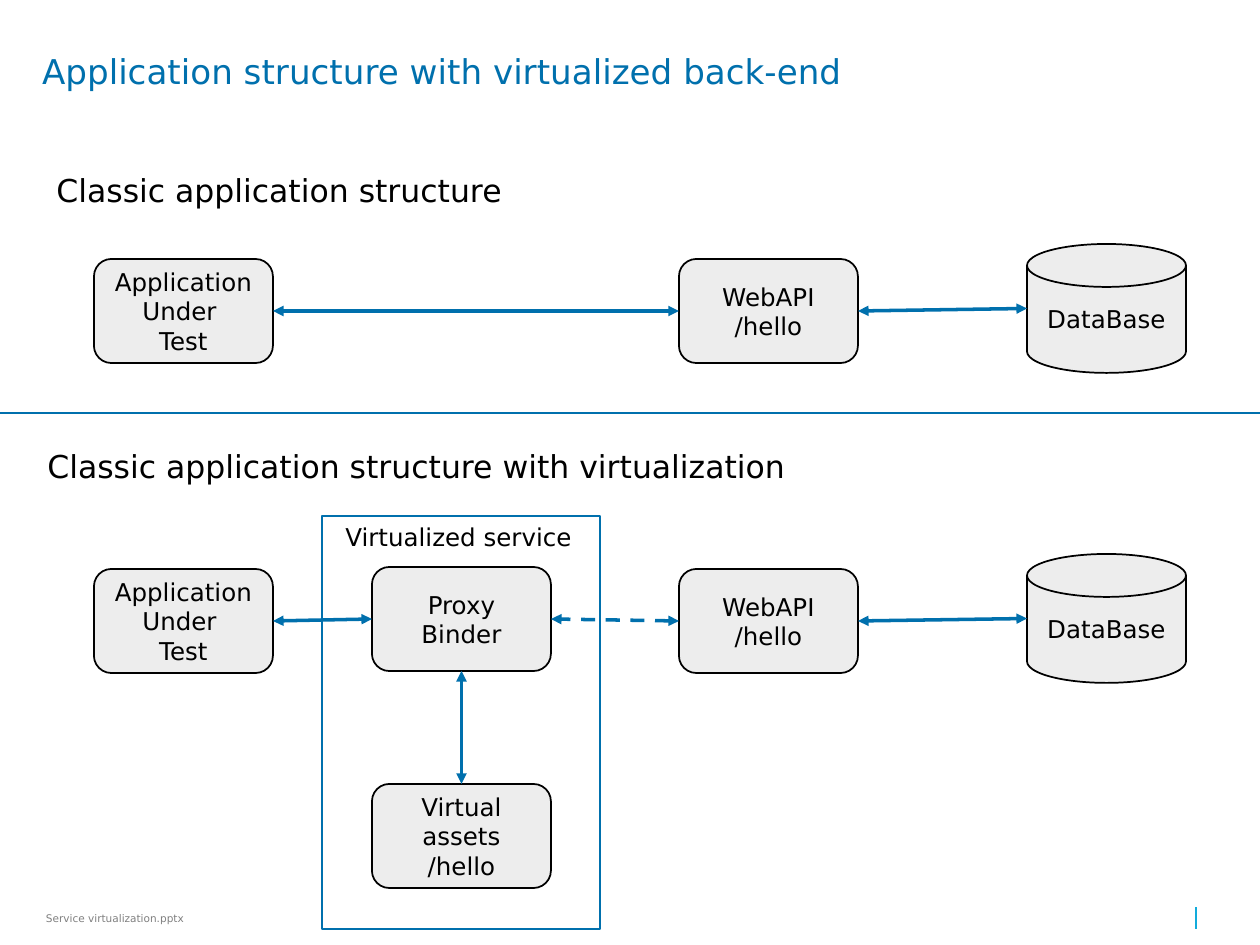
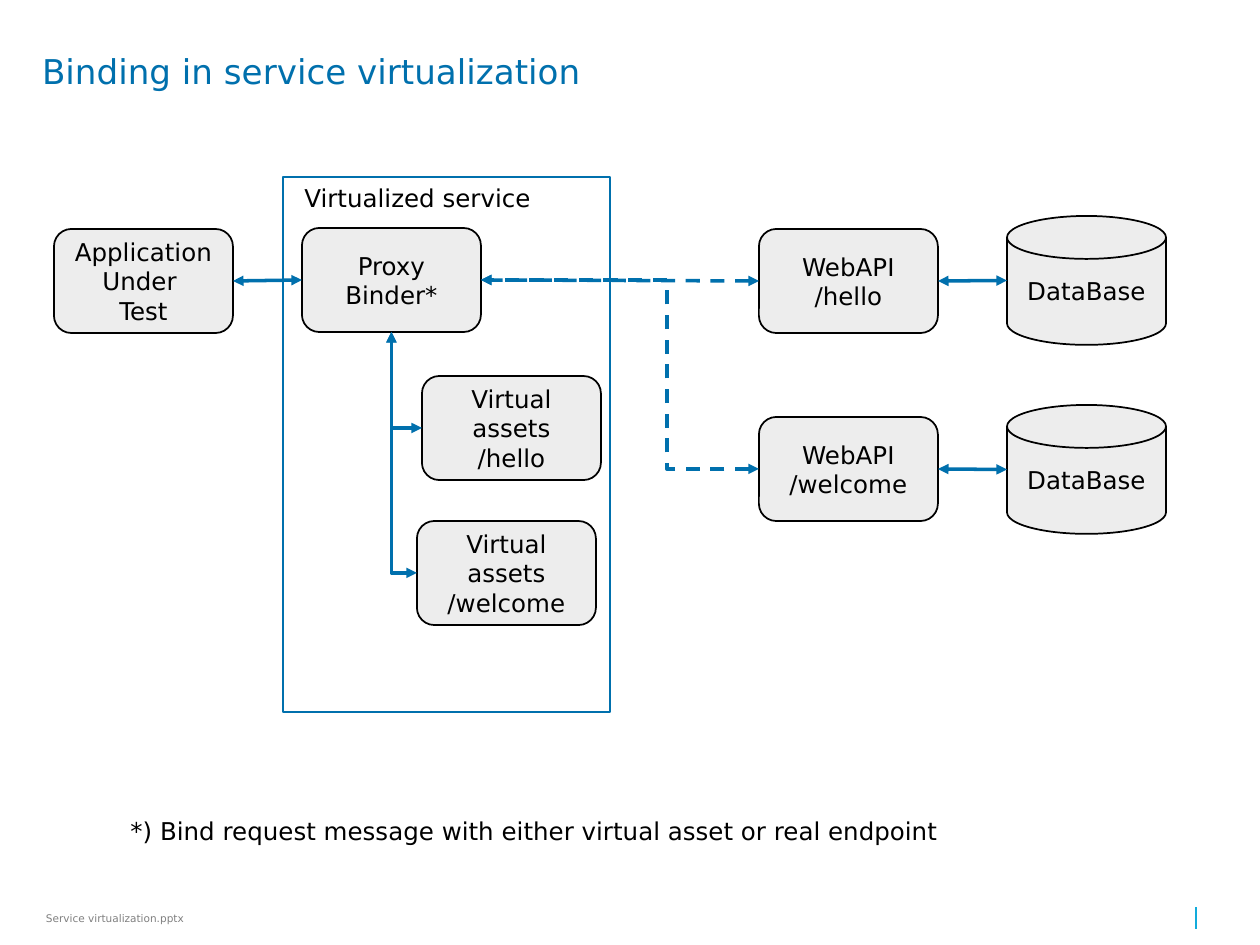
"""Build two slides that explain service virtualization and its binding."""
from lxml.etree import SubElement
from pptx import Presentation
from pptx.dml.color import RGBColor
from pptx.enum.dml import MSO_LINE
from pptx.enum.shapes import MSO_CONNECTOR, MSO_SHAPE
from pptx.enum.text import MSO_ANCHOR, MSO_AUTO_SIZE, PP_ALIGN
from pptx.oxml.ns import qn
from pptx.shapes.connector import Connector
from pptx.util import Emu, Pt

EMU_PER_PX = 914400 / 126
FONT = "DejaVu Sans"
BLUE = RGBColor(0x00, 0x70, 0xAD)
CYAN = RGBColor(0x12, 0xAB, 0xDB)
GREY = RGBColor(0x80, 0x80, 0x80)
LIGHT = RGBColor(0xED, 0xED, 0xED)
BLACK = RGBColor(0, 0, 0)
BOX, DISK = MSO_SHAPE.ROUNDED_RECTANGLE, MSO_SHAPE.FLOWCHART_MAGNETIC_DISK
NODE_SIZES = {BOX: (179, 104), DISK: (159, 129)}
TOP, LEFT, BOTTOM, RIGHT = range(4)
DISK_LEFT_SITE = 2
STRAIGHT, CORNER, ELBOW = "line", "bentConnector2", "bentConnector3"
APPLICATION = "Application Under \nTest"
HELLO_API, HELLO_ASSETS = "WebAPI\n/hello", "Virtual assets\n/hello"
FOOTER_RULE = (1196, 929, 1196, 907, CYAN, 1)


def px(*lengths):
    return [Emu(round(length * EMU_PER_PX)) for length in lengths]


def write_text(shape, text, *, size=14, color=BLACK, align=PP_ALIGN.LEFT,
               anchor=MSO_ANCHOR.TOP, wrap=True, inset=None, spacing=None):
    frame = shape.text_frame
    frame.text = text
    frame.auto_size = MSO_AUTO_SIZE.NONE
    frame.word_wrap = wrap
    frame.vertical_anchor = anchor
    if inset is not None:
        frame.margin_left = frame.margin_right = px(inset)[0]
        frame.margin_top = frame.margin_bottom = px(inset)[0]
    for paragraph in frame.paragraphs:
        paragraph.alignment = align
        paragraph.line_spacing = spacing
        for run in paragraph.runs:
            run.font.name = FONT
            run.font.size = Pt(size)
            run.font.color.rgb = color


SLIDES = [
    {
        "title": "Application structure with virtualized back-end",
        "nodes": {
            "classic application": (BOX, 94, 259, APPLICATION),
            "classic api": (BOX, 679, 259, HELLO_API),
            "classic database": (DISK, 1027, 244, "DataBase"),
            "application": (BOX, 94, 569, APPLICATION),
            "api": (BOX, 679, 569, HELLO_API),
            "database": (DISK, 1027, 554, "DataBase"),
            "proxy": (BOX, 372, 567, "Proxy Binder"),
            "assets": (BOX, 372, 784, HELLO_ASSETS),
        },
        "links": [
            ("classic application", RIGHT, "classic api", LEFT, STRAIGHT, False),
            ("classic api", RIGHT, "classic database", LEFT, STRAIGHT, False),
            ("application", RIGHT, "proxy", LEFT, STRAIGHT, False),
            ("api", RIGHT, "database", LEFT, STRAIGHT, False),
            ("assets", TOP, "proxy", BOTTOM, STRAIGHT, False),
            ("api", LEFT, "proxy", RIGHT, STRAIGHT, True),
        ],
        "service": (322, 516, 278, 413),
        "captions": [
            ("Virtualized service", 333, 516, 253, 43, 14, False),
            ("Classic application structure", 44, 165, 474, 51, 18, False),
            ("Classic application structure with virtualization",
             35, 441, 771, 51, 18, False),
        ],
        "rules": [FOOTER_RULE, (0, 413, 1260, 413, BLUE, 0.75)],
    },
    {
        "title": "Binding in service virtualization",
        "nodes": {
            "application": (BOX, 54, 229, APPLICATION),
            "hello api": (BOX, 759, 229, HELLO_API),
            "hello database": (DISK, 1007, 216, "DataBase"),
            "proxy": (BOX, 302, 228, "Proxy\nBinder*"),
            "hello assets": (BOX, 422, 376, HELLO_ASSETS),
            "welcome api": (BOX, 759, 417, "WebAPI\n/welcome"),
            "welcome database": (DISK, 1007, 405, "DataBase"),
            "welcome assets": (BOX, 417, 521, "Virtual assets\n/welcome"),
        },
        "links": [
            ("application", RIGHT, "proxy", LEFT, STRAIGHT, False),
            ("hello api", RIGHT, "hello database", LEFT, STRAIGHT, False),
            ("hello assets", LEFT, "proxy", BOTTOM, CORNER, False),
            ("hello api", LEFT, "proxy", RIGHT, STRAIGHT, True),
            ("welcome api", RIGHT, "welcome database", LEFT, STRAIGHT, False),
            ("welcome api", LEFT, "proxy", RIGHT, ELBOW, True),
            ("welcome assets", LEFT, "proxy", BOTTOM, CORNER, False),
        ],
        "service": (283, 177, 327, 535),
        "captions": [
            ("Virtualized service", 292, 177, 253, 43, 14, False),
            ("*) Bind request message with either virtual asset or real endpoint",
             118, 810, 927, 72, 14, True),
        ],
        "rules": [FOOTER_RULE],
    },
]

presentation = Presentation()
presentation.slide_width, presentation.slide_height = px(1260, 945)
title_only = presentation.slide_layouts[5]

for content in SLIDES:
    slide = presentation.slides.add_slide(title_only)
    shapes = slide.shapes

    title = shapes.title
    title.left, title.top, title.width, title.height = px(42, 55, 1139, 118)
    write_text(title, content["title"], size=19.5, color=BLUE, inset=0, spacing=0.9)

    footer = shapes.add_textbox(*px(42, 903, 316, 30))
    write_text(footer, "Service virtualization.pptx", size=6, color=GREY,
               anchor=MSO_ANCHOR.MIDDLE, inset=4)

    for x1, y1, x2, y2, color, width in content["rules"]:
        rule = shapes.add_connector(MSO_CONNECTOR.STRAIGHT, *px(x1, y1, x2, y2))
        rule.line.color.rgb = color
        rule.line.width = Pt(width)

    nodes = {}
    for name, (kind, left, top, text) in content["nodes"].items():
        node = shapes.add_shape(kind, *px(left, top, *NODE_SIZES[kind]))
        node.shadow.inherit = False
        node.fill.solid()
        node.fill.fore_color.rgb = LIGHT
        node.line.color.rgb = BLACK
        node.line.width = Pt(1)
        write_text(node, text, align=PP_ALIGN.CENTER, anchor=MSO_ANCHOR.MIDDLE)
        nodes[name] = node

    for start, start_side, end, end_side, preset, dashed in content["links"]:
        link = shapes.add_connector(MSO_CONNECTOR.STRAIGHT, 0, 0, 0, 0)
        link.begin_connect(nodes[start], start_side)
        link.end_connect(nodes[end], end_side)
        if nodes[end].auto_shape_type == DISK:
            link._element.nvCxnSpPr.cNvCxnSpPr.endCxn.idx = DISK_LEFT_SITE
        geometry = link._element.spPr.find(qn("a:prstGeom"))
        geometry.set("prst", preset)
        if preset == ELBOW:
            SubElement(geometry.find(qn("a:avLst")), qn("a:gd"),
                       name="adj1", fmla="val 33100")
        link.line.color.rgb = BLUE
        link.line.width = Pt(2)
        if dashed:
            link.line.dash_style = MSO_LINE.DASH
        outline = link._element.spPr.find(qn("a:ln"))
        for tag in ("a:headEnd", "a:tailEnd"):
            SubElement(outline, qn(tag), type="triangle")

    service = shapes.add_shape(MSO_SHAPE.RECTANGLE, *px(*content["service"]))
    service.shadow.inherit = False
    service.fill.background()
    service.line.color.rgb = BLUE
    service.line.width = Pt(1)

    for text, left, top, width, height, size, wrap in content["captions"]:
        caption = shapes.add_textbox(*px(left, top, width, height))
        write_text(caption, text, size=size, wrap=wrap)

    for shape in shapes:
        if isinstance(shape, Connector):
            SubElement(shape._element.spPr, qn("a:effectLst"))

presentation.save("out.pptx")
